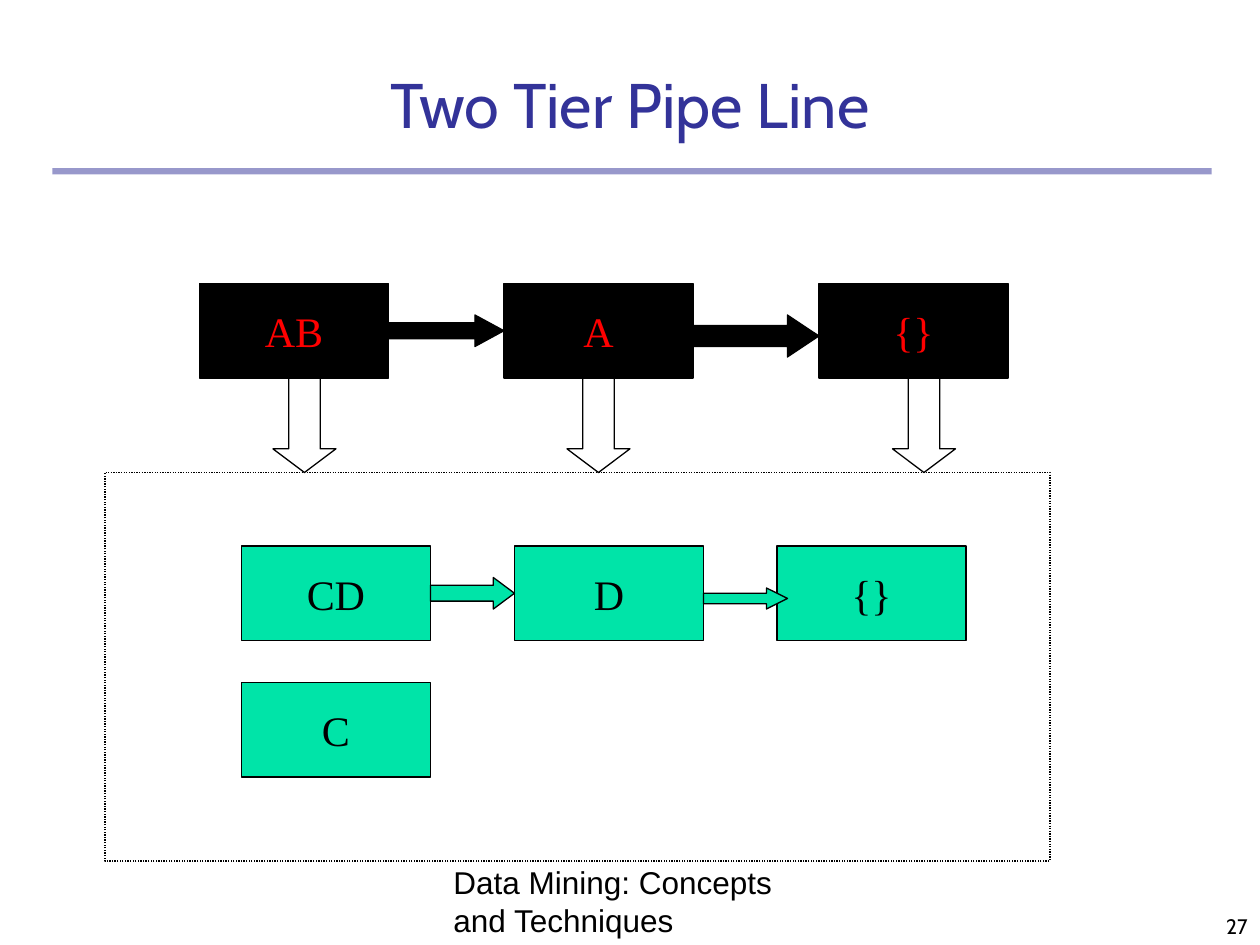
from lxml import etree
from pptx import Presentation
from pptx.dml.color import RGBColor
from pptx.enum.dml import MSO_LINE
from pptx.enum.shapes import MSO_SHAPE
from pptx.enum.text import MSO_ANCHOR, PP_ALIGN
from pptx.oxml.ns import qn
from pptx.util import Pt

RECT, RIGHT, DOWN = MSO_SHAPE.RECTANGLE, MSO_SHAPE.RIGHT_ARROW, MSO_SHAPE.DOWN_ARROW
LEFT_AL, CENTER, RIGHT_AL = PP_ALIGN.LEFT, PP_ALIGN.CENTER, PP_ALIGN.RIGHT
MIDDLE, BOTTOM = MSO_ANCHOR.MIDDLE, MSO_ANCHOR.BOTTOM
DOTTED = MSO_LINE.ROUND_DOT
PX = 7620
BLACK, RED, GREEN, BLUE = "000000", "FF0000", "00E4A8", "333399"


def add_shape(kind, box, fill=None, line=BLACK):
    sp = s.shapes.add_shape(kind, *[v * PX for v in box])
    sp.shadow.inherit = False
    if fill:
        sp.fill.solid()
        sp.fill.fore_color.rgb = RGBColor.from_string(fill)
    else:
        sp.fill.background()
    if line:
        sp.line.color.rgb = RGBColor.from_string(line)
        sp.line.width = Pt(0.75)
    else:
        sp.line.fill.background()
    return sp


def add_text(sp, text, font, size, color, align, anchor, wrap=True):
    tf = sp.text_frame
    tf.word_wrap = wrap
    tf.vertical_anchor = anchor
    p = tf.paragraphs[0]
    p.alignment = align
    r = p.add_run()
    r.text = text
    r.font.name = font
    r.font.size = Pt(size)
    r.font.color.rgb = RGBColor.from_string(color)


prs = Presentation()
prs.slide_width, prs.slide_height = 1200 * PX, 900 * PX
s = prs.slides.add_slide(prs.slide_layouts[6])

rule = add_shape(RECT, (50, 160, 1104, 6), BLUE, None)
color = rule.fill._xPr.find(qn("a:solidFill"))[0]
etree.SubElement(color, qn("a:alpha")).set("val", "50000")

title = s.shapes.add_textbox(50 * PX, 50 * PX, 1100 * PX, 90 * PX)
add_text(title, "Two Tier Pipe Line", "Cabin", 36, BLUE, CENTER, BOTTOM)

boxes = [
    ("AB", 190, 270, BLACK, RED),
    ("A", 480, 270, BLACK, RED),
    ("{}", 780, 270, BLACK, RED),
    ("CD", 230, 520, GREEN, BLACK),
    ("D", 490, 520, GREEN, BLACK),
    ("{}", 740, 520, GREEN, BLACK),
    ("C", 230, 650, GREEN, BLACK),
]
for text, x, y, fill, color in boxes:
    sp = add_shape(RECT, (x, y, 180, 90), fill)
    add_text(sp, text, "Times New Roman", 24, color, CENTER, MIDDLE, False)

right_arrows = [
    ((370, 300, 110, 30), BLACK, 0.92),
    ((660, 300, 120, 40), BLACK, 0.75),
    ((410, 550, 80, 30), GREEN, 0.67),
    ((670, 560, 80, 20), GREEN, 1),
]
for box, fill, head in right_arrows:
    sp = add_shape(RIGHT, box, fill)
    sp.adjustments[1] = head

tier = add_shape(RECT, (100, 450, 900, 370))
tier.line.dash_style = DOTTED

for x in (260, 540, 850):
    sp = add_shape(DOWN, (x, 360, 60, 90))
    sp.adjustments[1] = 0.375

footer = s.shapes.add_textbox(420 * PX, 830 * PX, 380 * PX, 70 * PX)
add_text(footer, "Data Mining: Concepts and Techniques", "Arial", 18, BLACK, LEFT_AL, BOTTOM)

number = s.shapes.add_textbox(950 * PX, 840 * PX, 250 * PX, 60 * PX)
add_text(number, "27", "Cabin", 12, BLACK, RIGHT_AL, BOTTOM)

prs.save("out.pptx")
